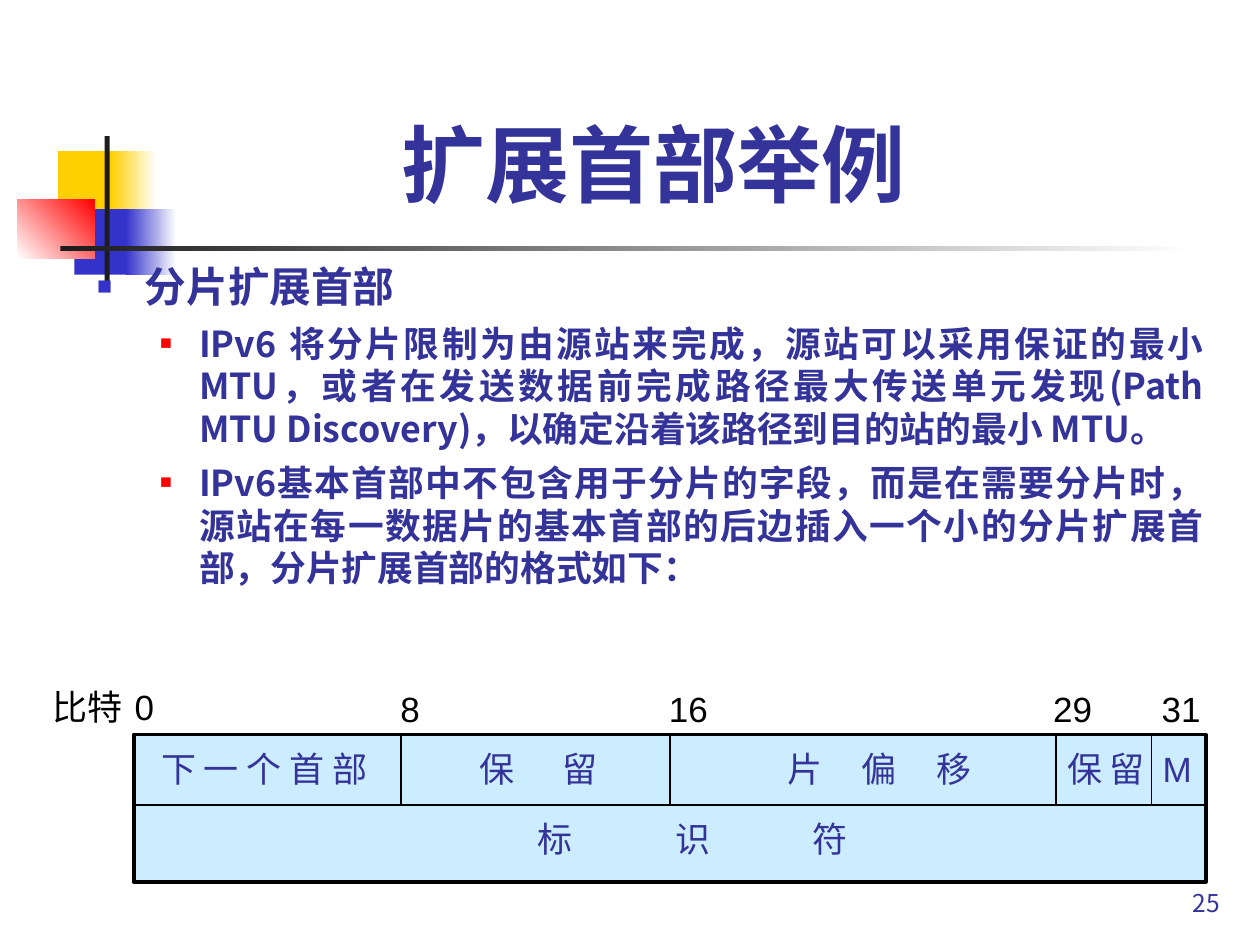
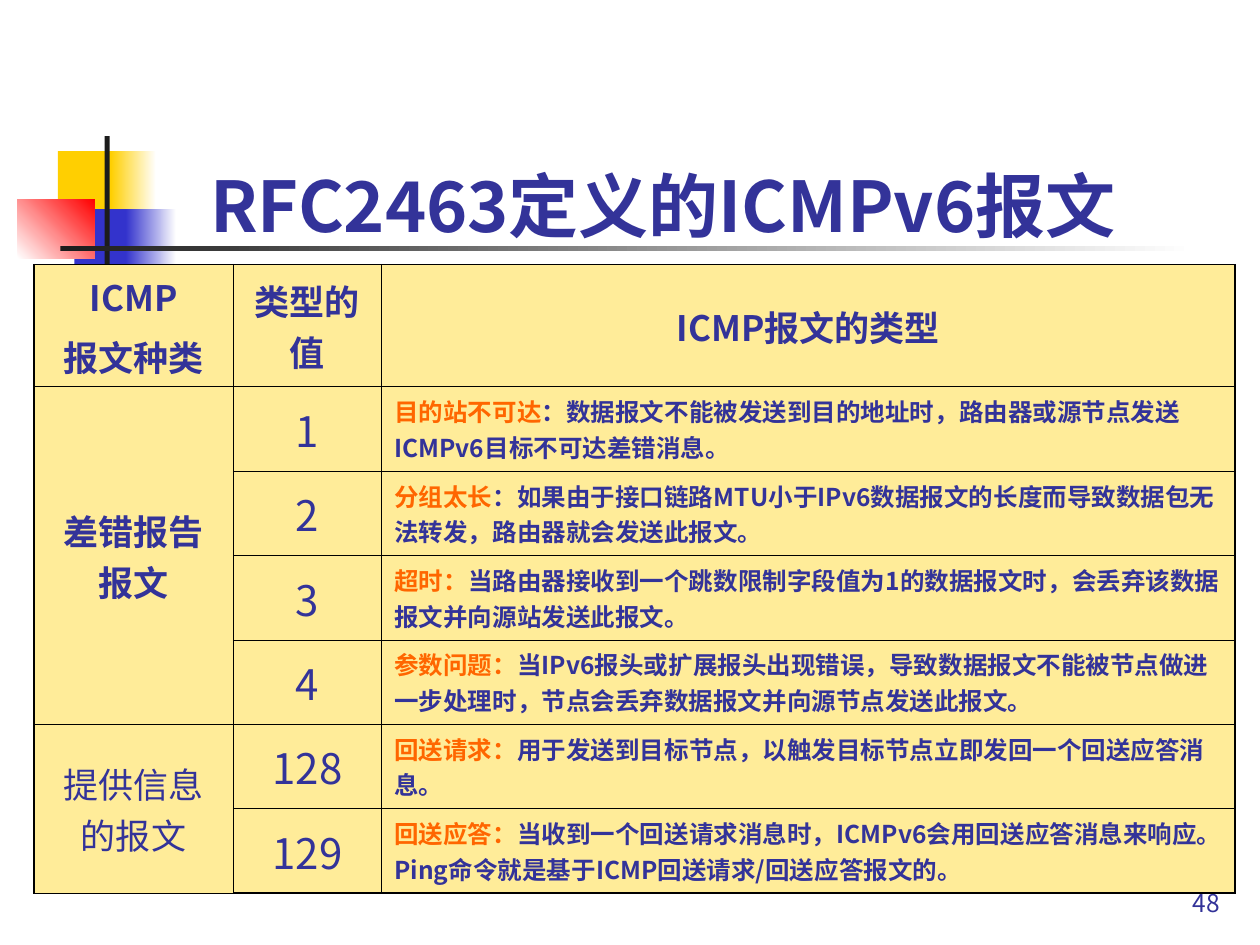
from typing import NamedTuple, Optional

from lxml.etree import SubElement
from pptx import Presentation
from pptx.dml.color import RGBColor
from pptx.enum.shapes import MSO_CONNECTOR, MSO_SHAPE
from pptx.enum.text import MSO_ANCHOR, MSO_AUTO_SIZE, PP_ALIGN
from pptx.oxml.ns import qn
from pptx.util import Inches, Pt

NAVY = RGBColor(0x33, 0x33, 0x99)
BLUE = RGBColor(0x33, 0x33, 0xCC)
YELLOW = RGBColor(0xFF, 0xCF, 0x01)
RED = RGBColor(0xFF, 0x00, 0x00)
ORANGE = RGBColor(0xFF, 0x66, 0x00)
CHARCOAL = RGBColor(0x1C, 0x1C, 0x1C)
BLACK = RGBColor(0x00, 0x00, 0x00)
WHITE = RGBColor(0xFF, 0xFF, 0xFF)
SKY = RGBColor(0xCC, 0xEC, 0xFF)
CREAM = RGBColor(0xFF, 0xEC, 0x99)
CJK_FONT = "Noto Sans CJK JP"
LATIN_FONT = "Arial"


class Block(NamedTuple):
    """A rectangle of the master decoration, with an optional gradient."""
    left: float
    top: float
    width: float
    height: float
    color: RGBColor
    fade_to: Optional[RGBColor] = None
    angle: float = 0


class Label(NamedTuple):
    """A one-line label; spread is extra letter spacing in points."""
    text: str
    left: float
    top: float
    width: float
    color: RGBColor = NAVY
    spread: float = 0


class Bullet(NamedTuple):
    level: int
    text: str
    size: float
    color: RGBColor
    scale: int
    margin: float
    hanging: float
    before: float


class Message(NamedTuple):
    """A table row: message type, its name and its meaning."""
    number: str
    name: str
    meaning: str


DECORATION = [
    Block(0.46, 1.2, 0.48, 0.52, YELLOW),
    Block(0.88, 1.2, 0.36, 0.52, YELLOW, WHITE),
    Block(0.59, 1.66, 0.46, 0.52, BLUE),
    Block(1, 1.66, 0.4, 0.52, BLUE, WHITE),
    Block(0.14, 1.58, 0.61, 0.47, WHITE, RED, 45),
    Block(0.83, 1.08, 0.04, 1.15, CHARCOAL),
    Block(0.48, 1.95, 9, 0.04, CHARCOAL, WHITE),
]

BULLETS = [
    Bullet(0, "分片扩展首部", 23.8, BLUE, 60, 0.38, 0.38, 0),
    Bullet(1, "IPv6 将分片限制为由源站来完成，源站可以采用保证的最小MTU，或者在发送数据前"
              "完成路径最大传送单元发现(Path MTU Discovery)，以确定沿着该路径到目的站的最小 MTU。",
           20.4, RED, 55, 0.81, 0.31, 6),
    Bullet(1, "IPv6基本首部中不包含用于分片的字段，而是在需要分片时，源站在每一数据片的"
              "基本首部的后边插入一个小的分片扩展首部，分片扩展首部的格式如下：",
           20.4, RED, 55, 0.81, 0.31, 6),
]

# Fragment header diagram
HEADER_LEFT, HEADER_TOP, HEADER_WIDTH, HEADER_HEIGHT = 1.06, 5.83, 8.51, 1.17
FIELD_BOTTOM = 6.39
FIELD_EDGES = [3.18, 5.32, 8.38, 9.14]
FIELD_TOP = 5.88
LABELS = [
    Label("比特", 0.32, 5.39, 0.76, BLACK),
    Label("0", 0.97, 5.39, 0.35, BLACK),
    Label("8", 3.08, 5.41, 0.35, BLACK),
    Label("16", 5.21, 5.41, 0.51, BLACK),
    Label("29", 8.26, 5.41, 0.51, BLACK),
    Label("31", 9.12, 5.41, 0.51, BLACK),
    Label("下 一 个 首 部", 1.18, FIELD_TOP, 1.84),
    Label("保 留", 3.71, FIELD_TOP, 1.3, spread=11.25),
    Label("片 偏 移", 6.15, FIELD_TOP, 1.8, spread=9),
    Label("保 留", 8.37, FIELD_TOP, 0.82),
    Label("M", 9.13, FIELD_TOP, 0.43),
    Label("标 识 符", 4.17, 6.44, 3.2, spread=27),
]

TABLE_HEADINGS = ["ICMP\n报文种类", "类型的值", "ICMP报文的类型"]
COLUMN_WIDTHS = [1.58, 1.18, 6.77]
HEADING_HEIGHT, MESSAGE_HEIGHT = 0.97, 0.67
ERROR_COUNT = 4
MESSAGES = [
    Message("1", "目的站不可达", "：数据报文不能被发送到目的地址时，路由器或源节点发送ICMPv6目标不可达差错消息。"),
    Message("2", "分组太长", "：如果由于接口链路MTU小于IPv6数据报文的长度而导致数据包无法转发，路由器就会发送此报文。"),
    Message("3", "超时：", "当路由器接收到一个跳数限制字段值为1的数据报文时，会丢弃该数据报文并向源站发送此报文。"),
    Message("4", "参数问题：", "当IPv6报头或扩展报头出现错误，导致数据报文不能被节点做进一步处理时，"
                           "节点会丢弃数据报文并向源节点发送此报文。"),
    Message("128", "回送请求：", "用于发送到目标节点，以触发目标节点立即发回一个回送应答消息。"),
    Message("129", "回送应答：", "当收到一个回送请求消息时，ICMPv6会用回送应答消息来响应。"
                             "Ping命令就是基于ICMP回送请求/回送应答报文的。"),
]


def format_span(span, size: float, color: RGBColor = NAVY, bold: bool = False,
                font: str = CJK_FONT, spread: float = 0) -> None:
    span.font.size = Pt(size)
    span.font.bold = bold
    span.font.color.rgb = color
    span.font.name = font
    properties = span.font._element
    SubElement(properties, qn("a:ea")).set("typeface", CJK_FONT)
    if spread:
        properties.set("spc", str(round(spread * 100)))


def keep_punctuation_inside(para):
    """Stop punctuation from hanging past the right margin."""
    properties = para._p.get_or_add_pPr()
    properties.set("hangingPunct", "0")
    return properties


def place(shape, left: float, top: float, width: float, height: float) -> None:
    shape.left, shape.top = Inches(left), Inches(top)
    shape.width, shape.height = Inches(width), Inches(height)


def add_block(page, block: Block):
    shape = page.shapes.add_shape(
        MSO_SHAPE.RECTANGLE, Inches(block.left), Inches(block.top),
        Inches(block.width), Inches(block.height))
    shape.shadow.inherit = False
    shape.line.fill.background()
    if block.fade_to is None:
        shape.fill.solid()
        shape.fill.fore_color.rgb = block.color
    else:
        shape.fill.gradient()
        shape.fill.gradient_angle = block.angle
        for stop, color in zip(shape.fill.gradient_stops, (block.color, block.fade_to)):
            stop.color.rgb = color
    return shape


def decorate_master(deck, page) -> None:
    """Draw the blocks once and hand them to the master, behind everything."""
    master_tree = deck.slide_master.shapes._spTree
    for index, block in enumerate(DECORATION):
        master_tree.insert(2 + index, add_block(page, block)._element)


def set_title(page, text: str, size: float, left: float, top: float,
              width: float, height: float) -> None:
    title = page.shapes.title
    place(title, left, top, width, height)
    frame = title.text_frame
    frame.text = text
    frame.auto_size = MSO_AUTO_SIZE.NONE
    frame.vertical_anchor = MSO_ANCHOR.BOTTOM
    para = frame.paragraphs[0]
    para.alignment = PP_ALIGN.CENTER
    format_span(para.runs[0], size, bold=True)


def add_page_number(page, number: int) -> None:
    box = page.shapes.add_textbox(Inches(7.7), Inches(6.83), Inches(2.08), Inches(0.5))
    frame = box.text_frame
    frame.word_wrap = True
    frame.vertical_anchor = MSO_ANCHOR.BOTTOM
    frame.text = str(number)
    frame.paragraphs[0].alignment = PP_ALIGN.RIGHT
    format_span(frame.paragraphs[0].runs[0], 14)


def add_label(page, label: Label) -> None:
    box = page.shapes.add_textbox(Inches(label.left), Inches(label.top),
                                  Inches(label.width), Inches(0.43))
    frame = box.text_frame
    frame.word_wrap = label.spread > 0
    frame.text = label.text
    format_span(frame.paragraphs[0].runs[0], 20, label.color,
                font=LATIN_FONT, spread=label.spread)


def add_line(page, x1: float, y1: float, x2: float, y2: float) -> None:
    line = page.shapes.add_connector(MSO_CONNECTOR.STRAIGHT, Inches(x1), Inches(y1),
                                     Inches(x2), Inches(y2))
    line.line.color.rgb = BLACK
    line.line.width = Pt(1)
    SubElement(line._element.spPr, qn("a:effectLst"))


def fill_bullets(body) -> None:
    frame = body.text_frame
    frame.text = "\n".join(bullet.text for bullet in BULLETS)
    frame.auto_size = MSO_AUTO_SIZE.NONE
    for para, bullet in zip(frame.paragraphs, BULLETS):
        properties = keep_punctuation_inside(para)
        properties.set("marL", str(Inches(bullet.margin)))
        properties.set("indent", str(-Inches(bullet.hanging)))
        color = SubElement(properties, qn("a:buClr"))
        SubElement(color, qn("a:srgbClr")).set("val", str(bullet.color))
        SubElement(properties, qn("a:buSzPct")).set("val", str(bullet.scale * 1000))
        SubElement(properties, qn("a:buFont")).set("typeface", LATIN_FONT)
        SubElement(properties, qn("a:buChar")).set("char", "■")
        para.level = bullet.level
        para.alignment = PP_ALIGN.JUSTIFY
        para.line_spacing = 1.0
        para.space_before = Pt(bullet.before)
        format_span(para.runs[0], bullet.size, bold=True)


def style_cell(cell, row: int, column: int) -> None:
    """Thick borders on the table's outside, thin ones inside."""
    outside = {"lnL": column == 0, "lnR": column == len(COLUMN_WIDTHS) - 1,
               "lnT": row == 0, "lnB": row == len(MESSAGES)}
    properties = cell._tc.get_or_add_tcPr()
    for side, thick in outside.items():
        border = SubElement(properties, qn(f"a:{side}"))
        border.set("w", str(Pt(1.08 if thick else 0.45)))
        paint = SubElement(border, qn("a:solidFill"))
        SubElement(paint, qn("a:srgbClr")).set("val", str(BLACK))
    cell.fill.solid()
    cell.fill.fore_color.rgb = CREAM


def write_centered(cell, text: str, size: float, bold: bool) -> None:
    cell.text = text
    cell.vertical_anchor = MSO_ANCHOR.MIDDLE
    for index, para in enumerate(cell.text_frame.paragraphs):
        para.alignment = PP_ALIGN.CENTER
        if index:
            para.space_before = Pt(5)
        format_span(para.runs[0], size, bold=bold)


def add_message_table(page) -> None:
    total = HEADING_HEIGHT + MESSAGE_HEIGHT * len(MESSAGES)
    table = page.shapes.add_table(
        len(MESSAGES) + 1, len(COLUMN_WIDTHS), Inches(0.27), Inches(2.1),
        Inches(sum(COLUMN_WIDTHS)), Inches(total)).table
    table.first_row = table.horz_banding = False
    for column, width in zip(table.columns, COLUMN_WIDTHS):
        column.width = Inches(width)
    for index, row in enumerate(table.rows):
        row.height = Inches(MESSAGE_HEIGHT if index else HEADING_HEIGHT)
        for column, cell in enumerate(row.cells):
            style_cell(cell, index, column)

    for column, heading in enumerate(TABLE_HEADINGS):
        write_centered(table.cell(0, column), heading, 20, True)
    # Message groups
    table.cell(1, 0).merge(table.cell(ERROR_COUNT, 0))
    write_centered(table.cell(1, 0), "差错报告报文", 20, True)
    table.cell(ERROR_COUNT + 1, 0).merge(table.cell(len(MESSAGES), 0))
    write_centered(table.cell(ERROR_COUNT + 1, 0), "提供信息的报文", 20, False)
    # Message rows
    for row, message in enumerate(MESSAGES, start=1):
        write_centered(table.cell(row, 1), message.number, 24, False)
        para = table.cell(row, 2).text_frame.paragraphs[0]
        keep_punctuation_inside(para)
        for text, color in ((message.name, ORANGE), (message.meaning, NAVY)):
            span = para.add_run()
            span.text = text
            format_span(span, 14, color, bold=True)


def build_fragment_page(page) -> None:
    set_title(page, "扩展首部举例", 48, 0.94, 0.91, 8.5, 0.83)
    body = page.placeholders[1]
    place(body, 0.67, 2.02, 8.98, 3.23)
    fill_bullets(body)
    header = add_block(page, Block(HEADER_LEFT, HEADER_TOP, HEADER_WIDTH, HEADER_HEIGHT, SKY))
    header.line.color.rgb = BLACK
    header.line.width = Pt(2.25)
    add_line(page, HEADER_LEFT, FIELD_BOTTOM, HEADER_LEFT + HEADER_WIDTH, FIELD_BOTTOM)
    for edge in FIELD_EDGES:
        add_line(page, edge, HEADER_TOP, edge, FIELD_BOTTOM)
    for label in LABELS:
        add_label(page, label)
    add_page_number(page, 25)


def build_message_page(page) -> None:
    set_title(page, "RFC2463定义的ICMPv6报文", 40, 0.9, 1.15, 8.72, 0.86)
    add_page_number(page, 48)
    add_message_table(page)


def main() -> None:
    deck = Presentation()
    deck.slide_width, deck.slide_height = Inches(10), Inches(7.5)
    fragment_page = deck.slides.add_slide(deck.slide_layouts[1])
    decorate_master(deck, fragment_page)
    build_fragment_page(fragment_page)
    build_message_page(deck.slides.add_slide(deck.slide_layouts[5]))
    deck.save("out.pptx")


if __name__ == "__main__":
    main()
